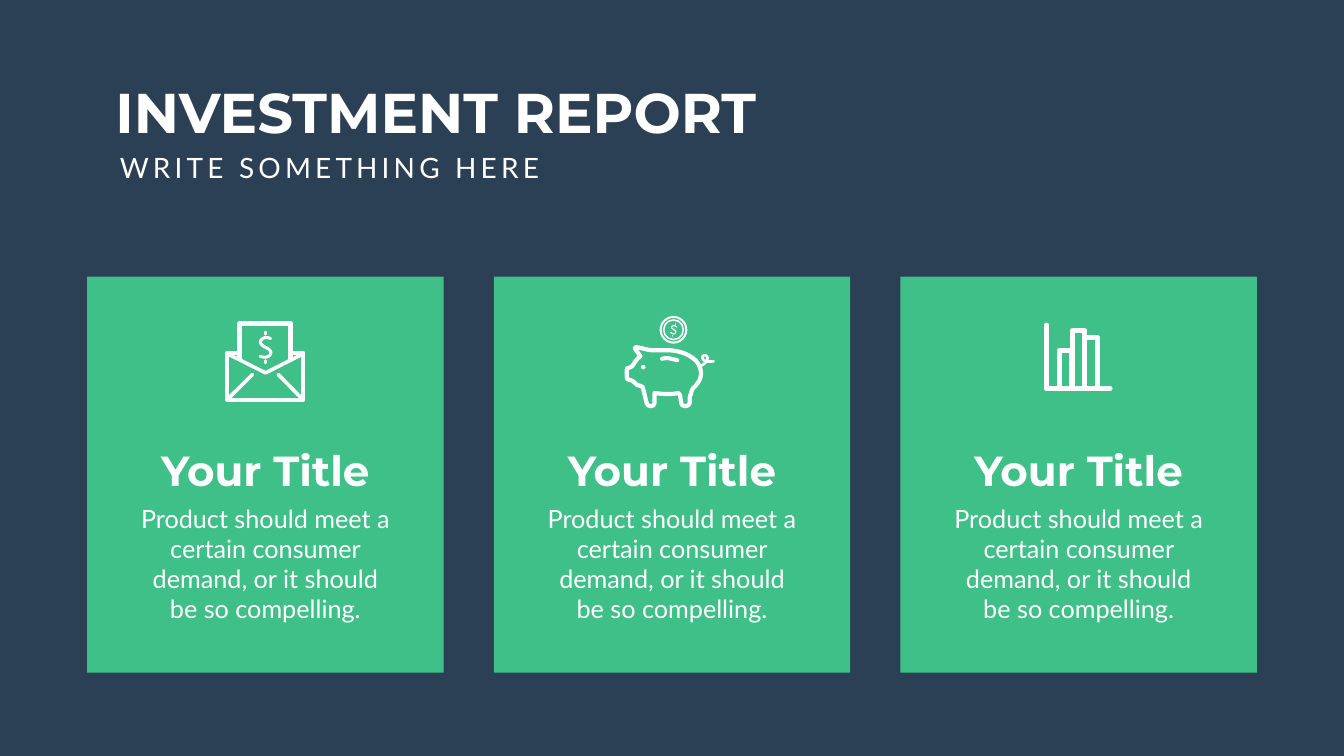
from dataclasses import dataclass
from typing import NamedTuple

from lxml.etree import SubElement
from pptx import Presentation
from pptx.dml.color import RGBColor
from pptx.enum.shapes import MSO_CONNECTOR, MSO_SHAPE
from pptx.enum.text import MSO_ANCHOR, MSO_AUTO_SIZE, PP_ALIGN
from pptx.oxml.ns import qn
from pptx.util import Cm, Pt


@dataclass(frozen=True)
class Theme:
    navy: RGBColor = RGBColor(0x2B, 0x40, 0x54)
    green: RGBColor = RGBColor(0x3E, 0xC0, 0x88)
    white: RGBColor = RGBColor(0xFF, 0xFF, 0xFF)
    heading_font: str = "Montserrat"
    body_font: str = "Lato"
    title_size: int = 80
    subtitle_size: int = 40
    card_title_size: int = 60
    card_body_size: int = 36
    card_body_leading: int = 43
    subtitle_tracking: int = 6


THEME = Theme()


class Box(NamedTuple):
    """Left, top, width and height in centimetres."""
    left: float
    top: float
    width: float
    height: float


class Stroke(NamedTuple):
    """A line through M, L, C and Z commands, in icon units from the card corner."""
    path_data: str
    weight: float


class Outline(NamedTuple):
    """A preset shape in icon units; without a weight it is filled."""
    preset: MSO_SHAPE
    left: float
    top: float
    width: float
    height: float
    weight: float = 0


@dataclass(frozen=True)
class Card:
    title: str
    body: str
    icon: tuple


ICON_UNIT = 0.0254  # centimetres
CURVE_STEPS = 10
CARD = Box(4.39, 13.94, 17.96, 19.96)
CARD_STEP = 20.49
RECT, OVAL = MSO_SHAPE.RECTANGLE, MSO_SHAPE.OVAL

# Icons
ENVELOPE = (
    Stroke("M 303 151 L 278 151 L 278 244 L 429 244 L 429 151 L 404 151", 5.8),
    Stroke("M 354 191 L 429 153", 5.2),
    Stroke("M 354 191 L 278 153", 5.2),
    Stroke("M 379 194 L 428 244", 5.2),
    Stroke("M 328 194 L 280 242", 5.2),
    Stroke("M 303 162 L 303 93 L 404 93 L 404 162", 7.2),
    Stroke("M 364 123 C 358 120 352 120 347 124 C 342 128 342 134 353 140 "
           "C 367 146 367 153 360 158 C 355 161 349 160 343 158", 4.3),
    Stroke("M 354 110 L 354 114", 4.3),
    Stroke("M 354 167 L 354 171", 4.3),
)
PIGGY_BANK = (
    Stroke("M 281 140 C 288 140 299 144 306 145 C 313 147 327 146 343 146 "
           "C 361 146 379 151 391 159 C 404 167 411 179 411 192 "
           "C 411 199 409 206 403 213 L 400 217 C 395 221 392 226 391 233 "
           "C 388 238 389 243 389 248 C 389 253 385 257 380 257 "
           "C 375 257 373 254 372 251 L 370 239 C 370 236 369 234 366 231 "
           "C 358 233 351 233 343 233 C 335 233 327 232 319 231 L 319 249 "
           "C 319 254 316 257 311 257 C 307 257 304 254 303 250 L 296 221 "
           "C 295 218 291 217 288 216 C 285 216 283 214 281 212 "
           "C 276 207 272 205 268 205 C 265 203 264 202 264 200 L 264 185 "
           "C 264 182 266 181 268 181 C 278 179 278 167 291 158 L 280 143 Z", 6),
    Stroke("M 407 178 C 416 176 424 169 424 162 C 424 155 414 154 414 160 "
           "C 414 170 428 169 436 168", 3.8),
    Outline(OVAL, 292, 175, 9, 9),
    Stroke("M 334 163 C 342 161 348 162 352 163 L 364 166", 5.8),
    Outline(OVAL, 331, 80, 51, 51, 2.9),
    Outline(OVAL, 337, 86, 39, 39, 2.2),
    Stroke("M 363 100 C 360 97 357 97 355 98 C 351 100 353 103 357 105 "
           "C 362 108 362 111 359 113 C 356 114 354 113 351 111", 1.6),
    Stroke("M 360 94 L 360 96", 1.4),
    Stroke("M 354 116 L 354 118", 1.4),
)
BAR_CHART = (
    Stroke("M 290 96 L 290 222", 7),
    Stroke("M 290 222 L 416 222", 7),
    *(Outline(RECT, left, top, 25, 222 - top, 7)
      for left, top in ((315, 146), (341, 107), (366, 121))),
)

BODY = "Product should meet a certain consumer demand, or it should be so compelling."
CARDS = [Card("Your Title", BODY, icon) for icon in (ENVELOPE, PIGGY_BANK, BAR_CHART)]


def place(shape, box: Box) -> None:
    shape.left, shape.top, shape.width, shape.height = map(Cm, box)


def write(shape, text: str, font: str, size: int, bold: bool = False,
          align=PP_ALIGN.LEFT):
    frame = shape.text_frame
    frame.text = text
    frame.word_wrap = True
    frame.auto_size = MSO_AUTO_SIZE.NONE
    frame.vertical_anchor = MSO_ANCHOR.TOP
    paragraph = frame.paragraphs[0]
    paragraph.alignment = align
    run = paragraph.runs[0]
    run.font.name, run.font.size, run.font.bold = font, Pt(size), bold
    run.font.color.rgb = THEME.white
    return paragraph


def add_text(slide, box: Box, *args, **kwargs):
    holder = slide.shapes.add_textbox(*map(Cm, box))
    return holder, write(holder, *args, **kwargs)


def trace(path_data: str) -> tuple[list, bool]:
    """Turn path commands into points, and tell whether the path is closed."""
    tokens = iter(path_data.split())
    points, closed = [], False
    for command in tokens:
        if command == "Z":
            closed = True
            continue
        count = 3 if command == "C" else 1
        target = [(float(next(tokens)), float(next(tokens))) for _ in range(count)]
        if command != "C":
            points += target
            continue
        curve = [points[-1], *target]
        for step in range(1, CURVE_STEPS + 1):
            t = step / CURVE_STEPS
            weights = ((1 - t) ** 3, 3 * t * (1 - t) ** 2, 3 * t * t * (1 - t), t ** 3)
            points.append(tuple(sum(w * p[axis] for w, p in zip(weights, curve))
                                for axis in (0, 1)))
    return points, closed


def set_line(shape, weight: float) -> None:
    shape.line.color.rgb = THEME.white
    shape.line.width = Pt(weight)
    line = shape.line._get_or_add_ln()
    line.set("cap", "rnd")
    SubElement(line, qn("a:round"))


def draw_stroke(slide, stroke: Stroke, card: Box) -> None:
    points, closed = trace(stroke.path_data)
    points = [(Cm(card.left + x * ICON_UNIT), Cm(card.top + y * ICON_UNIT))
              for x, y in points]
    if len(points) == 2:
        shape = slide.shapes.add_connector(MSO_CONNECTOR.STRAIGHT, *points[0], *points[1])
        SubElement(shape._element.spPr, qn("a:effectLst"))
    else:
        builder = slide.shapes.build_freeform(*points[0])
        builder.add_line_segments(points[1:], close=closed)
        shape = builder.convert_to_shape()
        shape.shadow.inherit = False
        shape.fill.background()
    set_line(shape, stroke.weight)


def add_filled(slide, preset, box: Box, color: RGBColor):
    shape = slide.shapes.add_shape(preset, *map(Cm, box))
    shape.shadow.inherit = False
    shape.fill.solid()
    shape.fill.fore_color.rgb = color
    shape.line.fill.background()
    return shape


def draw_outline(slide, outline: Outline, card: Box) -> None:
    left, top, width, height = (n * ICON_UNIT for n in outline[1:5])
    box = Box(card.left + left, card.top + top, width, height)
    shape = add_filled(slide, outline.preset, box, THEME.white)
    if outline.weight:
        shape.fill.background()
        set_line(shape, outline.weight)


def draw_card(slide, card: Card, box: Box) -> None:
    add_filled(slide, RECT, box, THEME.green)
    for part in card.icon:
        draw = draw_stroke if isinstance(part, Stroke) else draw_outline
        draw(slide, part, box)
    center = box.left + box.width / 2
    body, paragraph = add_text(slide, Box(center - 7.1, 25.07, 14.2, 6.73), card.body,
                               THEME.body_font, THEME.card_body_size, align=PP_ALIGN.CENTER)
    paragraph.line_spacing = Pt(THEME.card_body_leading)
    frame = body.text_frame
    frame.margin_left = frame.margin_right = Cm(0.61)
    frame.margin_top = frame.margin_bottom = Cm(0.3)
    add_text(slide, Box(center - 6.7, 22.28, 13.4, 2.82), card.title, THEME.heading_font,
             THEME.card_title_size, bold=True, align=PP_ALIGN.CENTER)


def main() -> None:
    deck = Presentation()
    deck.slide_width, deck.slide_height = Cm(67.72), Cm(38.1)
    slide = deck.slides.add_slide(deck.slide_layouts[5])
    slide.background.fill.solid()
    slide.background.fill.fore_color.rgb = THEME.navy

    # Heading
    title = slide.shapes.title
    place(title, Box(5.56, 3.76, 43.64, 3.68))
    write(title, "INVESTMENT REPORT", THEME.heading_font, THEME.title_size, bold=True)
    _, subtitle = add_text(slide, Box(5.79, 7.47, 23.85, 1.96), "WRITE SOMETHING HERE",
                           THEME.body_font, THEME.subtitle_size)
    subtitle.runs[0]._r.get_or_add_rPr().set("spc", str(THEME.subtitle_tracking * 100))

    # Cards
    for index, card in enumerate(CARDS):
        draw_card(slide, card, CARD._replace(left=CARD.left + index * CARD_STEP))

    deck.save("out.pptx")


if __name__ == "__main__":
    main()
